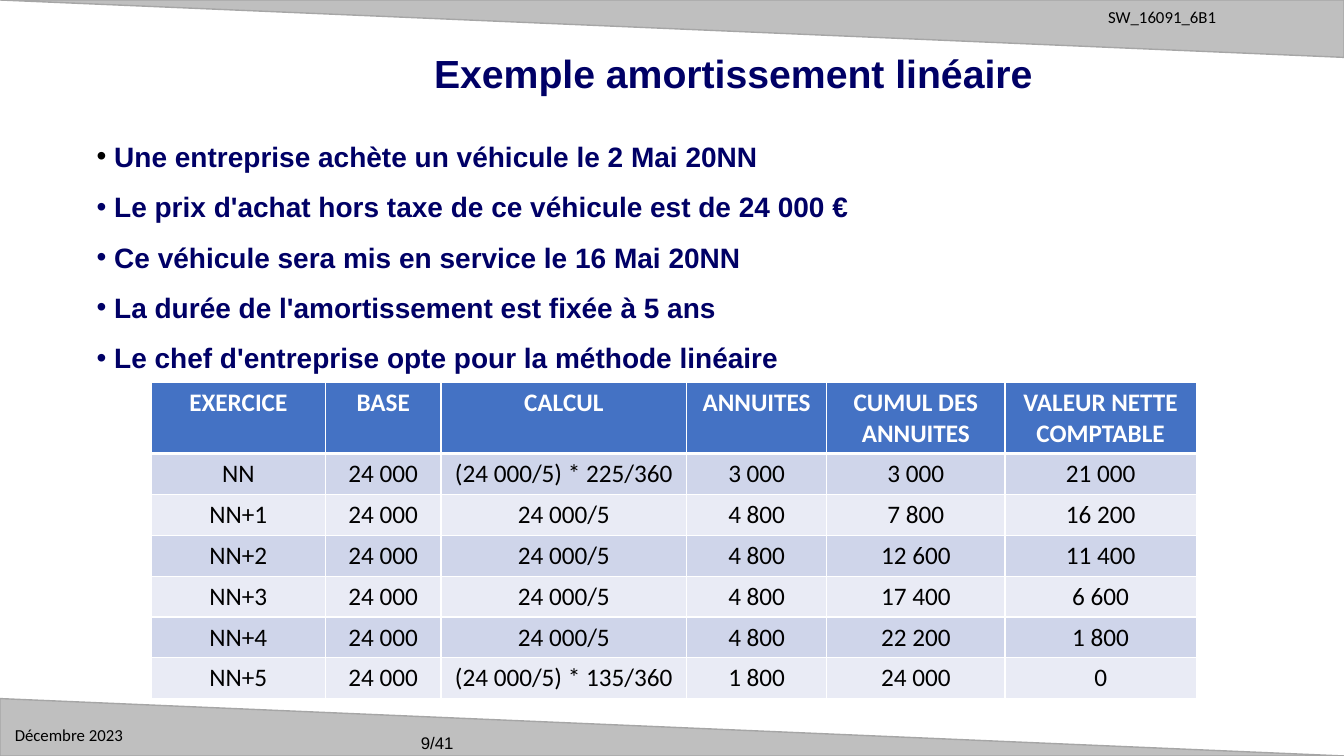
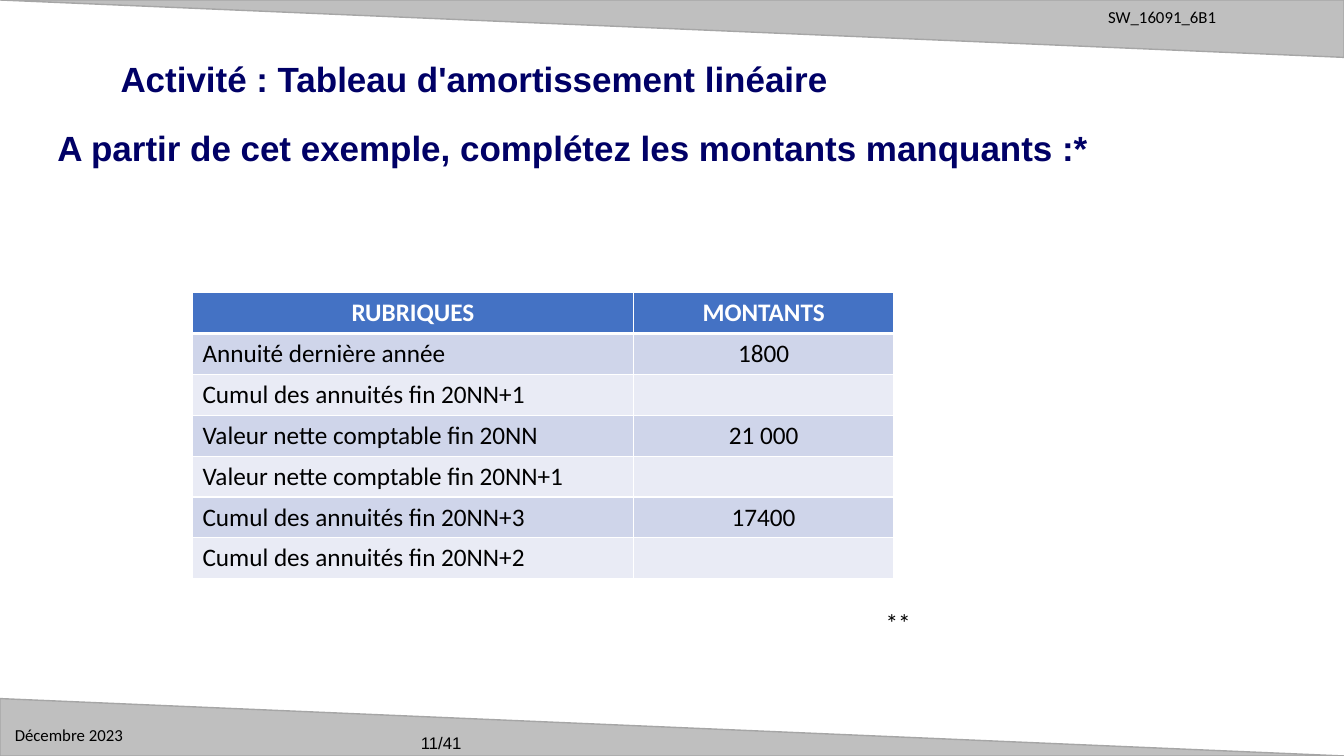
from dataclasses import dataclass
from typing import NamedTuple

from lxml.etree import SubElement
from pptx import Presentation
from pptx.dml.color import RGBColor
from pptx.enum.shapes import MSO_SHAPE
from pptx.enum.text import PP_ALIGN
from pptx.oxml.ns import qn
from pptx.slide import Slide
from pptx.table import _Cell
from pptx.text.text import TextFrame, _Paragraph
from pptx.util import Pt


@dataclass(frozen=True)
class Theme:
    navy: RGBColor = RGBColor(0x00, 0x00, 0x66)
    black: RGBColor = RGBColor(0x00, 0x00, 0x00)
    white: RGBColor = RGBColor(0xFF, 0xFF, 0xFF)
    band: RGBColor = RGBColor(0xBF, 0xBF, 0xBF)
    band_edge: RGBColor = RGBColor(0xA6, 0xA6, 0xA6)
    header: RGBColor = RGBColor(0x44, 0x72, 0xC4)
    odd_row: RGBColor = RGBColor(0xCF, 0xD5, 0xEA)
    even_row: RGBColor = RGBColor(0xE9, 0xEB, 0xF5)
    heading_font: str = "Arial"
    body_font: str = "Calibri"
    title_size: float = 28
    activity_size: float = 25
    bullet_size: float = 20
    table_size: float = 18
    footer_size: float = 12


THEME = Theme()
SLIDE_WIDTH, SLIDE_HEIGHT, BAND_HEIGHT = 960, 540, 41
ROW_HEIGHT = 29.2
CELL_RULE, HEADER_RULE = 1, 3


class Box(NamedTuple):
    left: float
    top: float
    width: float
    height: float


class Style(NamedTuple):
    font: str
    size: float
    color: RGBColor
    bold: bool = False


class Column(NamedTuple):
    heading: str
    width: float
    align: PP_ALIGN = PP_ALIGN.CENTER


TITLE = Style(THEME.heading_font, THEME.title_size, THEME.navy, True)
ACTIVITY = TITLE._replace(size=THEME.activity_size)
FACT = TITLE._replace(size=THEME.bullet_size)
TABLE_HEADING = Style(THEME.body_font, THEME.table_size, THEME.white, True)
TABLE_BODY = Style(THEME.body_font, THEME.table_size, THEME.black)
FOOTER = Style(THEME.body_font, THEME.footer_size, THEME.black)
PAGE_NUMBER = FOOTER._replace(font=THEME.heading_font)

FACTS = [
    "Une entreprise achète un véhicule le 2 Mai 20NN",
    "Le prix d'achat hors taxe de ce véhicule est de 24 000 €",
    "Ce véhicule sera mis en service le 16 Mai 20NN",
    "La durée de l'amortissement est fixée à 5 ans",
    "Le chef d'entreprise opte pour la méthode linéaire",
]

SCHEDULE_COLUMNS = [
    Column("EXERCICE", 124.5),
    Column("BASE", 82.5),
    Column("CALCUL", 175.5),
    Column("ANNUITES", 100),
    Column("CUMUL DES ANNUITES", 127.5),
    Column("VALEUR NETTE COMPTABLE", 136.5),
]
SCHEDULE = [
    ("NN", "24 000", "(24 000/5) * 225/360", "3 000", "3 000", "21 000"),
    ("NN+1", "24 000", "24 000/5", "4 800", "7 800", "16 200"),
    ("NN+2", "24 000", "24 000/5", "4 800", "12 600", "11 400"),
    ("NN+3", "24 000", "24 000/5", "4 800", "17 400", "6 600"),
    ("NN+4", "24 000", "24 000/5", "4 800", "22 200", "1 800"),
    ("NN+5", "24 000", "(24 000/5) * 135/360", "1 800", "24 000", "0"),
]

EXERCISE_COLUMNS = [
    Column("RUBRIQUES", 315, PP_ALIGN.LEFT),
    Column("MONTANTS", 186),
]
EXERCISE = [
    ("Annuité dernière année", "1800"),
    ("Cumul des annuités fin 20NN+1", ""),
    ("Valeur nette comptable fin 20NN", "21 000"),
    ("Valeur nette comptable fin 20NN+1", ""),
    ("Cumul des annuités fin 20NN+3", "17400"),
    ("Cumul des annuités fin 20NN+2", ""),
]


def add_run(paragraph: _Paragraph, text: str, style: Style) -> None:
    run = paragraph.add_run()
    run.text = text
    run.font.name = style.font
    run.font.size = Pt(style.size)
    run.font.bold = style.bold
    run.font.color.rgb = style.color


def add_frame(slide: Slide, box: Box) -> TextFrame:
    frame = slide.shapes.add_textbox(*map(Pt, box)).text_frame
    frame.word_wrap = True
    return frame


def add_text(slide: Slide, box: Box, text: str, style: Style,
             align: PP_ALIGN = PP_ALIGN.LEFT) -> None:
    paragraph = add_frame(slide, box).paragraphs[0]
    paragraph.alignment = align
    add_run(paragraph, text, style)


def add_bullet(paragraph: _Paragraph, color: RGBColor, indent: float) -> None:
    properties = paragraph._p.get_or_add_pPr()
    properties.set("marL", str(Pt(indent)))
    properties.set("indent", str(-Pt(indent)))
    bullet_color = SubElement(properties, qn("a:buClr"))
    SubElement(bullet_color, qn("a:srgbClr"), val=str(color))
    SubElement(properties, qn("a:buFont"), typeface=THEME.heading_font)
    SubElement(properties, qn("a:buChar"), char="•")


def add_facts(slide: Slide, box: Box, facts: list[str]) -> None:
    """List the facts; the first bullet is black, the others match the text."""
    frame = add_frame(slide, box)
    for index, fact in enumerate(facts):
        paragraph = frame.add_paragraph() if index else frame.paragraphs[0]
        add_bullet(paragraph, THEME.navy if index else THEME.black, 12.5)
        paragraph.line_spacing = Pt(36)
        add_run(paragraph, fact, FACT)


def add_band(slide: Slide, top: float, rotation: float) -> None:
    band = slide.shapes.add_shape(
        MSO_SHAPE.ISOSCELES_TRIANGLE, 0, Pt(top), Pt(SLIDE_WIDTH), Pt(BAND_HEIGHT))
    band.adjustments[0] = 0
    band.rotation = rotation
    band.shadow.inherit = False
    band.fill.solid()
    band.fill.fore_color.rgb = THEME.band
    band.line.color.rgb = THEME.band_edge
    band.line.width = Pt(1)


def add_base_slide(deck: Presentation, page: str) -> Slide:
    """Add a blank slide with the bands, reference, date and page number."""
    slide = deck.slides.add_slide(deck.slide_layouts[6])
    add_band(slide, 0, 180)
    add_band(slide, SLIDE_HEIGHT - BAND_HEIGHT, 0)
    add_text(slide, Box(293.5, 520, 100, 21), page, PAGE_NUMBER)
    add_text(slide, Box(784.5, 1.5, 172, 22), "SW_16091_6B1", FOOTER)
    add_text(slide, Box(3.5, 514, 99.5, 22), "Décembre 2023", FOOTER)
    return slide


def set_borders(cell: _Cell, top: float, bottom: float) -> None:
    properties = cell._tc.get_or_add_tcPr()
    widths = {"lnL": CELL_RULE, "lnR": CELL_RULE, "lnT": top, "lnB": bottom}
    for side, width in widths.items():
        line = SubElement(properties, qn(f"a:{side}"), w=str(Pt(width)))
        fill = SubElement(line, qn("a:solidFill"))
        SubElement(fill, qn("a:srgbClr"), val=str(THEME.white))


def fill_cell(cell: _Cell, text: str, style: Style, align: PP_ALIGN,
              color: RGBColor) -> None:
    cell.fill.solid()
    cell.fill.fore_color.rgb = color
    paragraph = cell.text_frame.paragraphs[0]
    paragraph.alignment = align
    paragraph.font.size = Pt(style.size)
    if text:
        add_run(paragraph, text, style)


def add_banded_table(slide: Slide, left: float, top: float, columns: list[Column],
                     rows: list[tuple[str, ...]], header_height: float) -> None:
    width = sum(column.width for column in columns)
    height = header_height + ROW_HEIGHT * len(rows)
    table = slide.shapes.add_table(
        len(rows) + 1, len(columns), *map(Pt, (left, top, width, height))).table
    for row_index, row in enumerate(table.rows):
        row.height = Pt(ROW_HEIGHT if row_index else header_height)
    for column_index, column in enumerate(columns):
        table.columns[column_index].width = Pt(column.width)
        heading = table.cell(0, column_index)
        set_borders(heading, CELL_RULE, HEADER_RULE)
        fill_cell(heading, column.heading, TABLE_HEADING, PP_ALIGN.CENTER, THEME.header)
        for row_index, values in enumerate(rows, 1):
            cell = table.cell(row_index, column_index)
            set_borders(cell, HEADER_RULE if row_index == 1 else CELL_RULE, CELL_RULE)
            color = THEME.odd_row if row_index % 2 else THEME.even_row
            fill_cell(cell, values[column_index], TABLE_BODY, column.align, color)


def add_example_slide(deck: Presentation) -> None:
    slide = add_base_slide(deck, "9/41")
    add_facts(slide, Box(62, 84, 839.5, 189.5), FACTS)
    add_text(slide, Box(303, 31.5, 465, 42), "Exemple amortissement linéaire", TITLE)
    add_banded_table(slide, 108, 273.5, SCHEDULE_COLUMNS, SCHEDULE, 50)


def add_activity_slide(deck: Presentation) -> None:
    slide = add_base_slide(deck, "11/41")
    add_banded_table(slide, 137.5, 209, EXERCISE_COLUMNS, EXERCISE, ROW_HEIGHT)
    add_text(slide, Box(13.5, 37.5, 650, 37.5),
             "Activité : Tableau d'amortissement linéaire", ACTIVITY, PP_ALIGN.CENTER)
    add_text(slide, Box(34, 86.5, 884, 37.5),
             "A partir de cet exemple, complétez les montants manquants :*", ACTIVITY)
    add_text(slide, Box(625.5, 430.5, 53.5, 29), "**", TABLE_BODY)


def main() -> None:
    deck = Presentation()
    deck.slide_width, deck.slide_height = Pt(SLIDE_WIDTH), Pt(SLIDE_HEIGHT)
    add_example_slide(deck)
    add_activity_slide(deck)
    deck.save("out.pptx")


if __name__ == "__main__":
    main()
